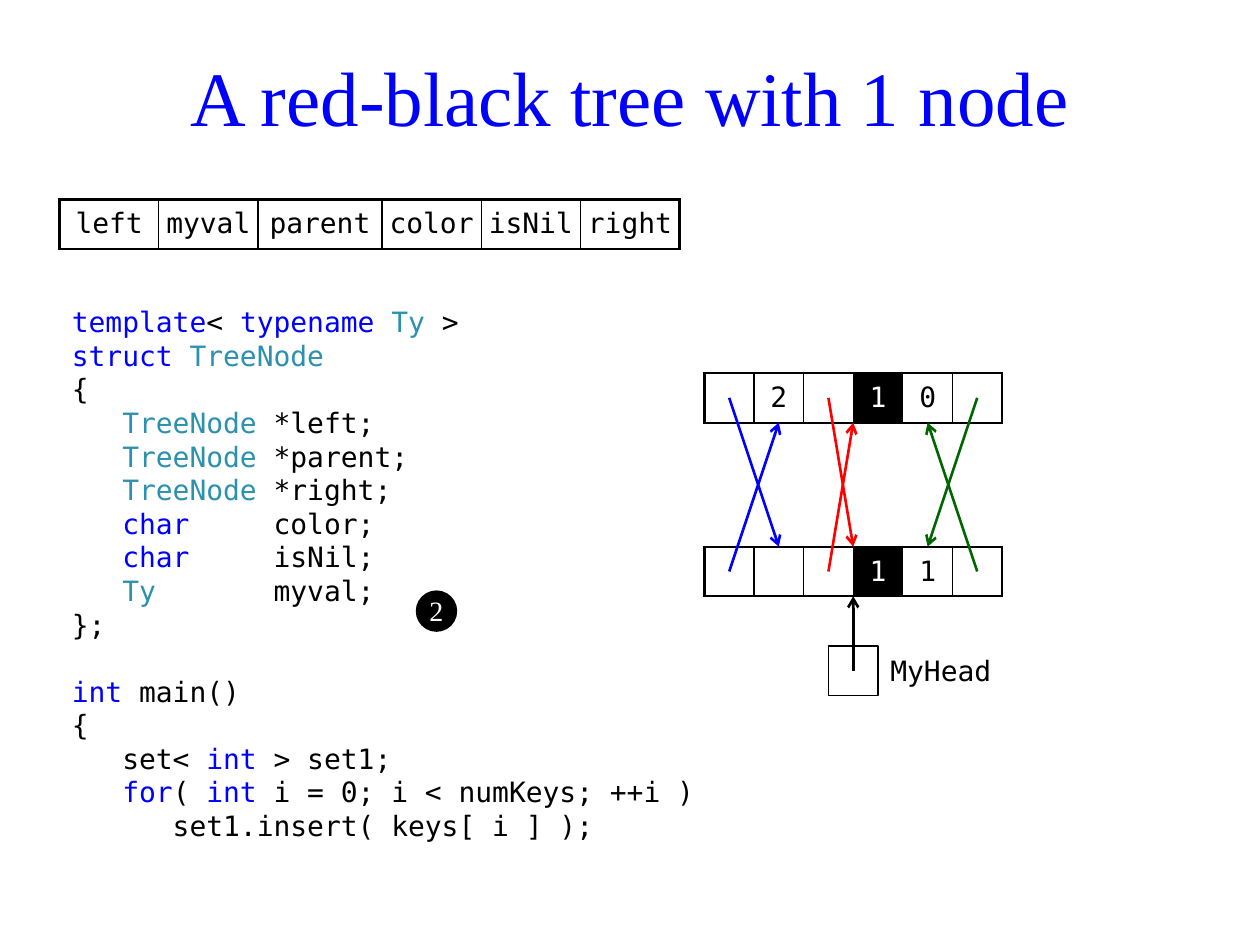
from pptx import Presentation
from pptx.dml.color import RGBColor
from pptx.enum.shapes import MSO_CONNECTOR, MSO_SHAPE
from pptx.enum.text import MSO_ANCHOR, PP_ALIGN
from pptx.oxml import parse_xml
from pptx.oxml.ns import nsdecls
from pptx.util import Inches, Pt

PX = 7200  # EMU in one px: 127 px to the inch, 50 px to the centimetre
MONO, SERIF = "DejaVu Sans Mono", "Times New Roman"
BLACK, WHITE, BLUE, RED, GREEN = "000000", "FFFFFF", "0000FF", "FF0000", "006600"
TEXT, WORD, TYPE = BLACK, BLUE, "2B91AF"
LINE_PITCH = 19.2

TITLE = "A red-black tree with 1 node"
CODE = [
    [(WORD, "template"), (TEXT, "< "), (WORD, "typename "), (TYPE, "Ty"), (TEXT, " >")],
    [(WORD, "struct "), (TYPE, "TreeNode")],
    [(TEXT, "{")],
    [(TYPE, "   TreeNode"), (TEXT, " *left;")],
    [(TYPE, "   TreeNode"), (TEXT, " *parent;")],
    [(TYPE, "   TreeNode"), (TEXT, " *right;")],
    [(WORD, "   char"), (TEXT, "     color;")],
    [(WORD, "   char"), (TEXT, "     isNil;")],
    [(TYPE, "   Ty"), (TEXT, "       myval;")],
    [(TEXT, "};")],
    [(WORD, "int"), (TEXT, " main()")],
    [(TEXT, "{")],
    [(TEXT, "   set< "), (WORD, "int"), (TEXT, " > set1;")],
    [(WORD, "   for"), (TEXT, "( "), (WORD, "int"),
     (TEXT, " i = 0; i < numKeys; ++i )")],
    [(TEXT, "      set1.insert( keys[ i ] );")],
]
MAIN_LINE = 10  # a one-line gap comes before this line

CELL = 50
FIELDS = ["left", "myval", "parent", "color", "isNil", "right"]
FIELD_WIDTHS = [100, 100, 125, 100, 100, 100]
COLOR_FIELD = 3
NODE_LEFT, NODE_TOP, HEAD_TOP = 710, 376, 551
NODE = ["", "2", "", "1", "0", ""]
HEAD_NODE = ["", "", "", "1", "1", ""]
# Pointer colour, start and end, counted in cells from the node's left edge
POINTERS = [(BLUE, 0.5, 1.5), (RED, 2.5, 3), (GREEN, 5.5, 4.5)]
MY_HEAD_LEFT, MY_HEAD_TOP = NODE_LEFT + 5 * CELL // 2, 651


def px(value):
    return int(value * PX)


def color(value):
    return RGBColor.from_string(value)


def style(paragraph, font_name, size, ink=None, align=PP_ALIGN.LEFT):
    paragraph.alignment = align
    paragraph.font.name = font_name
    paragraph.font.size = Pt(size)
    if ink:
        paragraph.font.color.rgb = color(ink)


def add_text(left, top, width, height, anchor):
    box = page.shapes.add_textbox(px(left), px(top), px(width), px(height))
    frame = box.text_frame
    frame.word_wrap = True
    frame.vertical_anchor = anchor
    return frame


def add_shape(kind, left, top, size, fill):
    shape = page.shapes.add_shape(kind, px(left), px(top), px(size), px(size))
    shape.shadow.inherit = False
    shape.fill.solid()
    shape.fill.fore_color.rgb = color(fill)
    shape.line.color.rgb = color(BLACK)
    shape.line.width = Pt(1)
    return shape


def add_arrow(x1, y1, x2, y2, ink):
    arrow = page.shapes.add_connector(
        MSO_CONNECTOR.STRAIGHT, px(x1), px(y1), px(x2), px(y2))
    arrow.line.color.rgb = color(ink)
    arrow.line.width = Pt(1.5)
    arrow.line._get_or_add_ln().append(
        parse_xml(f'<a:tailEnd {nsdecls("a")} type="arrow"/>'))
    arrow._element.spPr.append(parse_xml(f'<a:effectLst {nsdecls("a")}/>'))


def set_borders(cell, first, last):
    widths = {"lnL": 1.5 if first else 0.75, "lnR": 1.5 if last else 0.75,
              "lnT": 1.5, "lnB": 1.5}
    properties = cell._tc.get_or_add_tcPr()
    for index, (side, width) in enumerate(widths.items()):
        properties.insert(index, parse_xml(
            f'<a:{side} {nsdecls("a")} w="{Pt(width)}"><a:solidFill>'
            f'<a:srgbClr val="{BLACK}"/></a:solidFill></a:{side}>'))


def add_row(left, top, words, widths, black_cell=None):
    table = page.shapes.add_table(1, len(words), px(left), px(top),
                                  px(sum(widths)), px(CELL)).table
    table.first_row = table.horz_banding = False
    for index, (word, width) in enumerate(zip(words, widths)):
        table.columns[index].width = px(width)
        cell = table.cell(0, index)
        cell.margin_left = cell.margin_right = 0
        cell.margin_top = cell.margin_bottom = 0
        cell.vertical_anchor = MSO_ANCHOR.MIDDLE
        cell.text = word
        is_black = index == black_cell
        style(cell.text_frame.paragraphs[0], MONO, 16,
              WHITE if is_black else BLACK, PP_ALIGN.CENTER)
        cell.fill.solid()
        cell.fill.fore_color.rgb = color(BLACK if is_black else WHITE)
        set_borders(cell, index == 0, index == len(words) - 1)


deck = Presentation()
deck.slide_width, deck.slide_height = Inches(10), Inches(7.5)
page = deck.slides.add_slide(deck.slide_layouts[6])

# Title
title = add_text(60, 27, 1150, 150, MSO_ANCHOR.MIDDLE).paragraphs[0]
title.text = TITLE
title.line_spacing = 0.9
style(title, SERIF, 44, BLUE, PP_ALIGN.CENTER)

# Code
code = add_text(60, 301, 800, 575, MSO_ANCHOR.TOP)
for number, spans in enumerate(CODE):
    paragraph = code.paragraphs[0] if number == 0 else code.add_paragraph()
    paragraph.line_spacing = Pt(LINE_PITCH)
    if number == MAIN_LINE:
        paragraph.space_before = Pt(LINE_PITCH)
    style(paragraph, MONO, 16)
    for ink, words in spans:
        span = paragraph.add_run()
        span.text = words
        span.font.color.rgb = color(ink)

# Field names and the two nodes
add_row(60, 201, FIELDS, FIELD_WIDTHS)
for top, values in [(NODE_TOP, NODE), (HEAD_TOP, HEAD_NODE)]:
    add_row(NODE_LEFT, top, values, [CELL] * len(values), COLOR_FIELD)

# Pointers between the nodes, down and up
for ink, start, end in POINTERS:
    x1, x2 = NODE_LEFT + start * CELL, NODE_LEFT + end * CELL
    add_arrow(x1, NODE_TOP + CELL / 2, x2, HEAD_TOP, ink)
    add_arrow(x1, HEAD_TOP + CELL / 2, x2, NODE_TOP + CELL, ink)

# Head pointer with its label
add_shape(MSO_SHAPE.RECTANGLE, MY_HEAD_LEFT, MY_HEAD_TOP, CELL, WHITE)
head_x = MY_HEAD_LEFT + CELL / 2
add_arrow(head_x, MY_HEAD_TOP + CELL / 2, head_x, HEAD_TOP + CELL, BLACK)
label = add_text(MY_HEAD_LEFT + CELL, MY_HEAD_TOP, 150, CELL,
                 MSO_ANCHOR.MIDDLE).paragraphs[0]
label.text = "MyHead"
style(label, MONO, 16, BLACK)

# Tree node
node = add_shape(MSO_SHAPE.OVAL, 420, 596, 40, BLACK).text_frame
node.margin_left = node.margin_right = node.margin_top = 0
node.margin_bottom = px(1)
node.vertical_anchor = MSO_ANCHOR.MIDDLE
node.text = "2"
style(node.paragraphs[0], SERIF, 16, WHITE, PP_ALIGN.CENTER)

deck.save("out.pptx")
